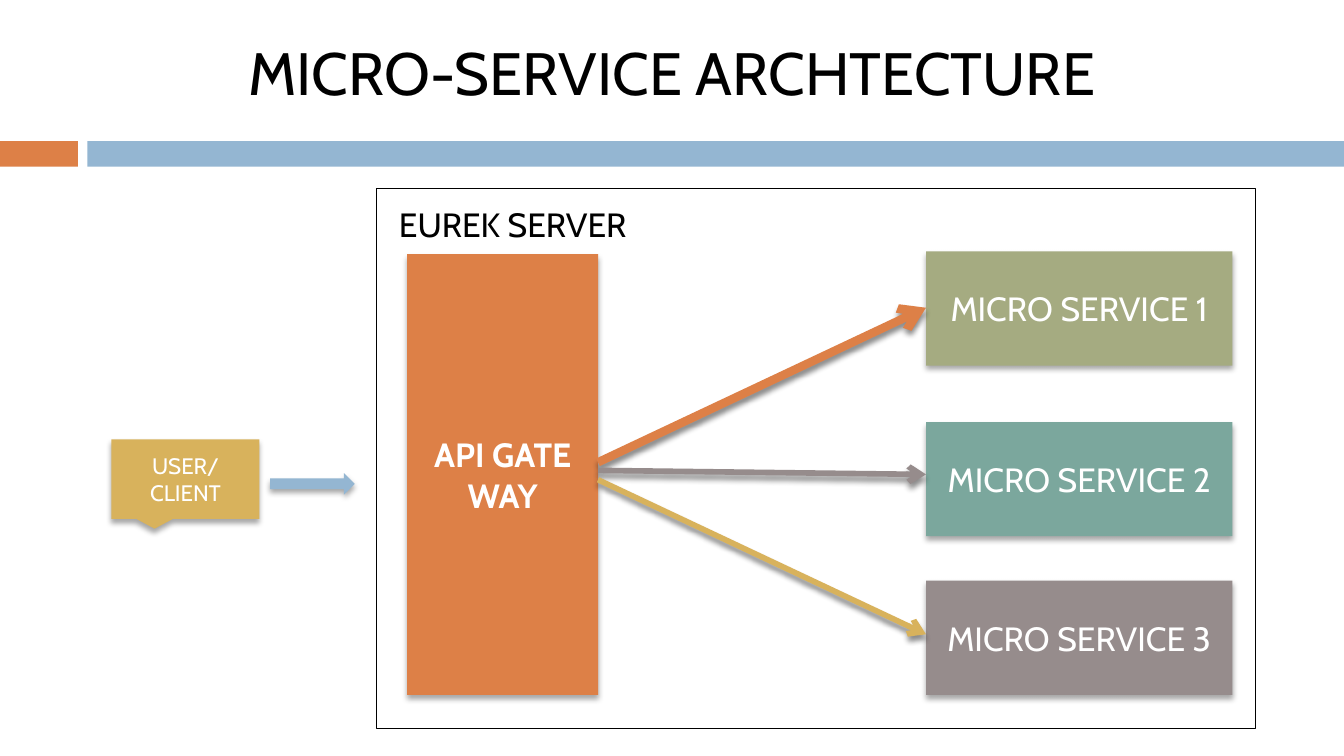
from dataclasses import dataclass

from pptx import Presentation
from pptx.dml.color import RGBColor
from pptx.enum.shapes import MSO_CONNECTOR, MSO_SHAPE
from pptx.enum.text import MSO_ANCHOR, PP_ALIGN
from pptx.oxml import parse_xml
from pptx.oxml.ns import nsdecls, qn
from pptx.util import Inches, Pt


@dataclass(frozen=True)
class Theme:
    font: str = "Cabin"
    black: str = "000000"
    white: str = "FFFFFF"
    orange: str = "DD8047"
    blue: str = "94B6D2"
    green: str = "A5AB81"
    teal: str = "7BA79D"
    taupe: str = "968C8C"
    gold: str = "D8B25C"
    title_size: int = 32
    label_size: int = 18
    small_size: int = 12


THEME = Theme()


def add_shadow(shape, opacity, distance):
    """Cast a soft shadow straight down; opacity in percent, distance in points."""
    shape._element.spPr.append(parse_xml(
        f'<a:effectLst {nsdecls("a")}>'
        f'<a:outerShdw blurRad="{Pt(3)}" dist="{Pt(distance)}" dir="5400000" rotWithShape="0">'
        f'<a:srgbClr val="{THEME.black}"><a:alpha val="{opacity * 1000}"/></a:srgbClr>'
        '</a:outerShdw></a:effectLst>'))


def write_text(shape, text, size=THEME.label_size, color=THEME.white, bold=False,
               align=PP_ALIGN.CENTER, anchor=MSO_ANCHOR.MIDDLE):
    frame = shape.text_frame
    frame.word_wrap = True
    frame.vertical_anchor = anchor
    paragraph = frame.paragraphs[0]
    paragraph.alignment = align
    run = paragraph.add_run()
    run.text = text
    run.font.name = THEME.font
    run.font.size = Pt(size)
    run.font.bold = bold
    run.font.color.rgb = RGBColor.from_string(color)


def add_box(slide, left, top, width, height, fill=None, outline=None,
            preset=MSO_SHAPE.RECTANGLE, shadow=False):
    box = slide.shapes.add_shape(
        preset, Inches(left), Inches(top), Inches(width), Inches(height))
    if fill:
        box.fill.solid()
        box.fill.fore_color.rgb = RGBColor.from_string(fill)
    else:
        box.fill.background()
    if outline:
        box.line.color.rgb = RGBColor.from_string(outline)
        box.line.width = Pt(0.25)
    else:
        box.line.fill.background()
    if shadow:
        add_shadow(box, opacity=35, distance=2)
    else:
        box.shadow.inherit = False
    return box


def add_label(slide, left, top, width, height, text, **text_format):
    label = slide.shapes.add_textbox(
        Inches(left), Inches(top), Inches(width), Inches(height))
    write_text(label, text, color=THEME.black, **text_format)


def add_arrow(slide, start, end, color, weight):
    arrow = slide.shapes.add_connector(
        MSO_CONNECTOR.STRAIGHT, *(Inches(value) for value in (*start, *end)))
    arrow.line.color.rgb = RGBColor.from_string(color)
    arrow.line.width = Pt(weight)
    outline = arrow._element.spPr.find(qn("a:ln"))
    outline.append(parse_xml(f'<a:tailEnd {nsdecls("a")} type="arrow"/>'))
    add_shadow(arrow, opacity=45, distance=2.4)


def add_header(slide):
    add_box(slide, 0, 1.05, 0.58, 0.19, THEME.orange)
    add_box(slide, 0.65, 1.05, 9.35, 0.19, THEME.blue)
    add_label(slide, 0.5, 0.14, 9, 0.79, "MICRO-SERVICE ARCHTECTURE",
              size=THEME.title_size)


def add_server(slide):
    """Gateway, its services and the arrows between them, inside the server frame."""
    gateway_left, gateway_width = 3.03, 1.42
    gateway_right = gateway_left + gateway_width
    service_left = 6.89

    add_box(slide, 0.59, 1.32, 8.9, 4.25, THEME.white)
    gateway = add_box(slide, gateway_left, 1.89, gateway_width, 3.28,
                      THEME.orange, shadow=True)
    write_text(gateway, "API GATE WAY", bold=True)

    services = ((1.87, THEME.green), (3.14, THEME.teal), (4.32, THEME.taupe))
    for number, (top, fill) in enumerate(services, start=1):
        service = add_box(slide, service_left, top, 2.28, 0.85, fill, shadow=True)
        write_text(service, f"MICRO SERVICE {number}")

    routes = ((3.44, 2.29, THEME.orange, 4.5),
              (3.5, 3.53, THEME.taupe, 3),
              (3.57, 4.72, THEME.gold, 3))
    for start_y, end_y, color, weight in routes:
        add_arrow(slide, (gateway_right, start_y), (service_left, end_y), color, weight)

    add_box(slide, 2.8, 1.4, 6.54, 4.02, outline=THEME.black)
    add_label(slide, 2.87, 1.47, 2.68, 0.4, "EUREK SERVER",
              align=PP_ALIGN.LEFT, anchor=MSO_ANCHOR.TOP)


def add_client(slide):
    client = add_box(slide, 0.83, 3.27, 1.1, 0.59, THEME.gold,
                     preset=MSO_SHAPE.RECTANGULAR_CALLOUT, shadow=True)
    write_text(client, "USER/CLIENT", size=THEME.small_size)
    add_box(slide, 2.01, 3.52, 0.63, 0.16, THEME.blue,
            preset=MSO_SHAPE.RIGHT_ARROW, shadow=True)


def main():
    deck = Presentation()
    deck.slide_width = Inches(10)
    deck.slide_height = deck.slide_width * 9 // 16
    slide = deck.slides.add_slide(deck.slide_layouts[6])
    add_header(slide)
    add_server(slide)
    add_client(slide)
    deck.save("out.pptx")


if __name__ == "__main__":
    main()
